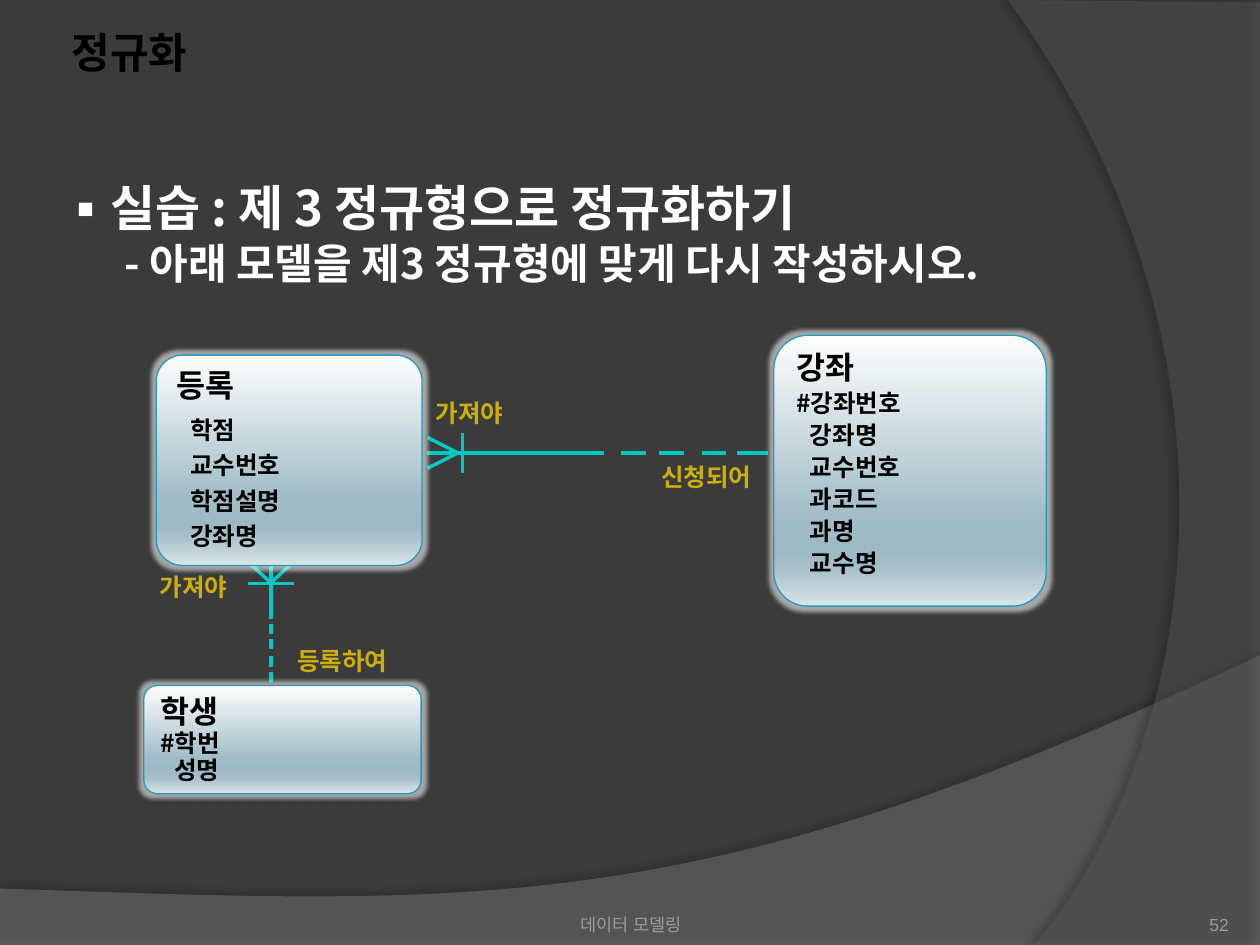
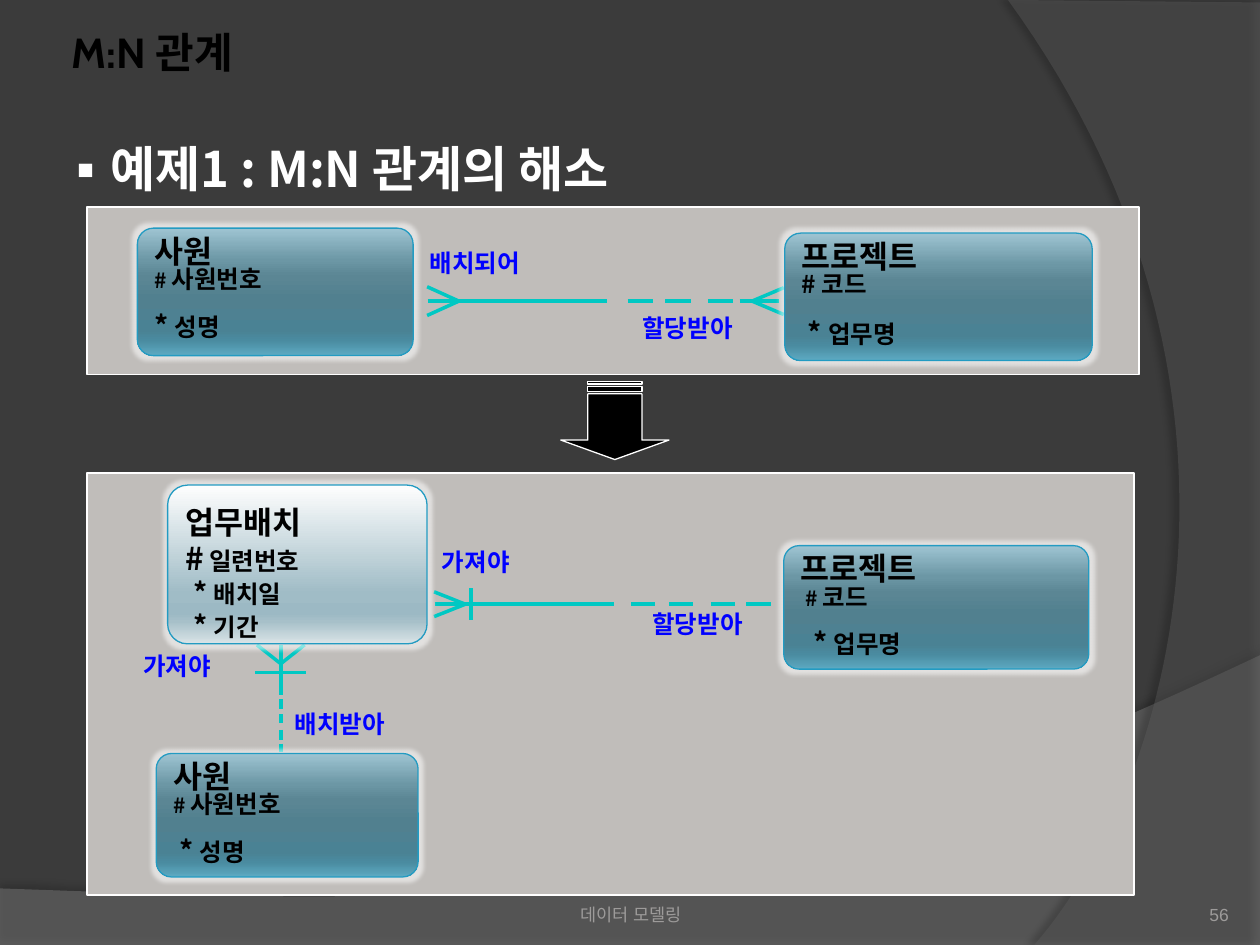
from lxml import etree
from pptx import Presentation
from pptx.dml.color import RGBColor
from pptx.enum.shapes import MSO_CONNECTOR, MSO_SHAPE
from pptx.enum.text import MSO_ANCHOR, PP_ALIGN
from pptx.oxml.ns import qn
from pptx.util import Cm, Pt

# Shared look
BODY_FONT, TITLE_FONT, FOOTER_FONT = "Noto Sans CJK KR", "Cabin", "Arial"
BACKGROUND, FOOTER_COLOR, PANEL_FILL = "3B3B3B", "9D9B9A", "C0BDBA"
RELATION_COLOR, NODE_LINE = "00C8C3", "239BC2"
BLACK, WHITE, GOLD, BLUE = "000000", "FFFFFF", "CCAF0A", "0000FF"
LINE_FACTOR = 1.22  # line height per point of text size
GRADIENTS = {
    "light": [(0, "FEFEFE"), (68, "A0BCC6"), (81, "9CB9C4"),
              (86, "A7C0C9"), (100, "DAE4E7")],
    "teal": [(0, "9EC4D2"), (25, "6C97A5"), (38, "5B8694"), (55, "51808F"),
             (80, "4A8294"), (88, "4A8BA0"), (100, "5DAAC2")],
}
# Curved bands: corner points before the curve, its three controls,
# fill, opacity, then shadow opacity, distance and direction
BANDS = [
    ([(0, 17.91), (0, 19.05), (25.4, 19.05), (25.4, 13.21)],
     [(14.2, 18.52), (9.93, 18.26), (0, 17.91)], "7F7F7F", 45, (35, 3.5, 270)),
    ([(25.4, 0.05), (25.4, 19.05), (20.85, 19.05)],
     [(23.75, 15.72), (25.86, 7.62), (20.32, 0)], "5E5E5E", 40, (45, 4, 180)),
]


# Rows of an entity: (line spacing, space before, indent, runs)
def title_row(name, spacing):
    return spacing, 0, 0, [(name, 18)]


def fields(names, spacing, before):
    return [(spacing, before, 0 if name[0] == "#" else 0.28, [(name, 14)])
            for name in names]


def keyed_entity(name, key_runs, key_indent, gap, star_indent, attribute):
    return [title_row(name, 0.8), (0.8, 0, key_indent, key_runs),
            (0.8, gap, star_indent, [("* ", 16), (attribute, 14)])]


EMPLOYEE_KEY = [("# ", 12), ("사원번호", 14)]

# Content of each slide; lengths in cm.
# A relation runs along one axis: cross position, solid part, dashes,
# feet (open end, tip, half width) and an optional bar (position, half width).
SLIDES = [
    {
        "title": "정규화", "number": "52", "footer_top": 17.83,
        "body_top": 3.38,
        "body": [("실습 : 제 3 정규형으로 정규화하기", 28, 36, True),
                 ("- 아래 모델을 제3 정규형에 맞게 다시 작성하시오.", 24, 29, False)],
        "panels": [], "arrow": None,
        "relations": [
            {"cross": 9.13, "solid": (8.6, 12.17),
             "dashes": [(12.52, 13.03), (13.28, 13.79), (14.15, 14.63), (14.86, 15.49)],
             "feet": [(8.62, 9.23, 0.31)], "bar": (9.32, 0.4)},
            {"vertical": True, "cross": 5.46, "solid": (11.36, 12.47),
             "dashes": [(12.57, 12.78), (12.88, 13.08), (13.23, 13.44), (13.54, 13.74)],
             "feet": [(11.36, 11.75, 0.42)], "bar": (11.76, 0.46)},
        ],
        "label_style": (GOLD, 0.9),
        "labels": [("신청되어", 13.08, 9.25), ("가져야", 8.53, 7.95),
                   ("등록하여", 5.74, 12.95), ("가져야", 2.97, 11.46)],
        "entities": [
            ((15.6, 6.76, 5.49, 5.46), "light", [title_row("강좌", 0.9)] + fields(
                ["#강좌번호", "강좌명", "교수번호", "과코드", "과명", "교수명"], 0.7, 6.3)),
            ((2.9, 13.82, 5.59, 2.18), "light",
             [title_row("학생", 0.9)] + fields(["#학번", "성명"], 0.9, 0)),
            ((3.15, 7.16, 5.36, 4.24), "light",
             [title_row("등록", 0.9)] + fields(["학점"], 0.6, 13)
             + fields(["교수번호", "학점설명", "강좌명"], 0.6, 10)),
        ],
    },
    {
        "title": "M:N 관계", "number": "56", "footer_top": 17.63,
        "body_top": 2.59,
        "body": [("예제1 : M:N 관계의 해소", 28, 36, True)],
        "panels": [(1.75, 9.53, 21.11, 8.51), (1.75, 4.17, 21.21, 3.38)],
        "arrow": (11.61, 7.39, 1.57, 2.18),
        "relations": [
            {"cross": 6.07, "solid": (8.62, 12.24),
             "dashes": [(12.65, 13.16), (13.41, 13.92), (14.27, 14.78), (14.91, 15.7)],
             "feet": [(8.61, 9.25, 0.29), (15.8, 15.16, 0.27)]},
            {"cross": 12.18, "solid": (8.76, 12.37),
             "dashes": [(12.73, 13.21), (13.49, 13.97), (14.33, 14.81), (15.04, 15.54)],
             "feet": [(8.75, 9.38, 0.25)], "bar": (9.5, 0.32)},
            {"vertical": True, "cross": 5.66, "solid": (13, 14.02),
             "dashes": [(14.1, 14.3), (14.4, 14.58), (14.71, 14.91), (14.99, 15.16)],
             "feet": [(13, 13.38, 0.48)], "bar": (13.56, 0.51)},
        ],
        "label_style": (BLUE, 0.8),
        "labels": [("배치되어", 8.41, 4.98), ("할당받아", 12.7, 6.3),
                   ("가져야", 8.66, 11.02), ("할당받아", 12.9, 12.27),
                   ("가져야", 2.64, 13.11), ("배치받아", 5.69, 14.27)],
        "entities": [
            ((2.77, 4.6, 5.56, 2.57), "teal",
             keyed_entity("사원", EMPLOYEE_KEY, 0, 12, 0, "성명")),
            ((15.82, 4.7, 6.2, 2.57), "teal",
             keyed_entity("프로젝트", [("# 코드", 14)], 0, 13, 0.12, "업무명")),
            ((15.8, 11, 6.15, 2.49), "teal",
             keyed_entity("프로젝트", [("# ", 12), ("코드", 14)], 0.1, 12, 0.25, "업무명")),
            ((3.15, 15.19, 5.28, 2.49), "teal",
             keyed_entity("사원", EMPLOYEE_KEY, 0, 12, 0.12, "성명")),
            ((3.38, 9.78, 5.23, 3.2), "light", [
                title_row("업무배치", 1.4),
                (0.7, 5.4, 0, [("#", 18), (" ", 12), ("일련번호", 14)]),
                (0.7, 4.8, 0.15, [("* ", 16), ("배치일", 14)]),
                (0.7, 4.8, 0.15, [("* ", 16), ("기간", 14)])]),
        ],
    },
]


# Helpers
def color(hex_value):
    return RGBColor.from_string(hex_value)


def add_xml_color(parent, hex_value, opacity=100):
    node = etree.SubElement(parent, qn("a:srgbClr"), val=hex_value)
    if opacity < 100:
        etree.SubElement(node, qn("a:alpha"), val=str(opacity * 1000))


def add_run(paragraph, text, size, hex_value, font=BODY_FONT, bold=True):
    run = paragraph.add_run()
    run.text = text
    run.font.size, run.font.bold = Pt(size), bold
    run.font.color.rgb = color(hex_value)
    run.font.name = font
    etree.SubElement(run.font._element, qn("a:ea"), typeface=font)


def paragraphs(frame, count):
    return [frame.paragraphs[0]] + [frame.add_paragraph() for _ in range(count - 1)]


def indent(paragraph, left, first=0):
    props = paragraph._p.get_or_add_pPr()
    props.set("marL", str(Cm(left)))
    props.set("indent", str(Cm(first)))
    return props


def add_text_frame(slide, box):
    frame = slide.shapes.add_textbox(*map(Cm, box)).text_frame
    frame.word_wrap = True
    return frame


def add_block(slide, kind, box, fill, line, width):
    block = slide.shapes.add_shape(kind, *map(Cm, box))
    block.shadow.inherit = False
    if fill:
        block.fill.solid()
        block.fill.fore_color.rgb = color(fill)
    block.line.color.rgb, block.line.width = color(line), Pt(width)
    return block


def add_effect(shape, kind, hex_value, opacity, **attributes):
    shape.shadow.inherit = False
    effects = shape.element.spPr.find(qn("a:effectLst"))
    effect = etree.SubElement(effects, qn(kind), **attributes)
    add_xml_color(effect, hex_value, opacity)


def curve(start, first, second, end, steps=60):
    for step in range(1, steps + 1):
        t = step / steps
        weights = ((1 - t) ** 3, 3 * t * (1 - t) ** 2, 3 * t * t * (1 - t), t ** 3)
        yield tuple(sum(w * p[axis] for w, p in zip(weights, (start, first, second, end)))
                    for axis in (0, 1))


def add_bands(slide, layout):
    """Build the curved bands and place them once, on the shared layout."""
    for position, (corners, controls, fill, opacity, shade) in enumerate(BANDS, 2):
        points = [(Cm(x), Cm(y)) for x, y in corners + list(curve(corners[-1], *controls))]
        builder = slide.shapes.build_freeform(*points[0])
        builder.add_line_segments(points[1:])
        band = builder.convert_to_shape()
        band.fill.solid()
        band.fill.fore_color.rgb = color(fill)
        fill_color = band.element.spPr.find(qn("a:solidFill"))[0]
        etree.SubElement(fill_color, qn("a:alpha"), val=str(opacity * 1000))
        band.line.fill.background()
        shade_opacity, distance, direction = shade
        add_effect(band, "a:outerShdw", BLACK, shade_opacity, blurRad=str(Pt(4)),
                   dist=str(Pt(distance)), dir=str(direction * 60000))
        layout.shapes.element.insert(position, band.element)


def add_title(slide, text):
    title = slide.shapes.title
    title.left, title.top, title.width, title.height = map(Cm, (1.19, 0.41, 22.71, 1.27))
    title.text_frame.vertical_anchor = MSO_ANCHOR.TOP
    paragraph = title.text_frame.paragraphs[0]
    paragraph.alignment = PP_ALIGN.LEFT
    add_run(paragraph, text, 24, BLACK, TITLE_FONT)


def add_footer(slide, text, left, top, width, align, inset):
    frame = add_text_frame(slide, (left, top, width, 1.02))
    frame.vertical_anchor = MSO_ANCHOR.BOTTOM
    frame.margin_left = frame.margin_right = frame.margin_bottom = 0
    frame.margin_top = Cm(inset)
    frame.paragraphs[0].alignment = align
    add_run(frame.paragraphs[0], text, 10, FOOTER_COLOR, FOOTER_FONT, False)


def add_body(slide, top, lines):
    frame = add_text_frame(slide, (0.99, top, 23.62, 3))
    for paragraph, (text, size, height, bulleted) in zip(paragraphs(frame, len(lines)), lines):
        paragraph.line_spacing = Pt(height)
        if bulleted:
            props = indent(paragraph, 0.6, -0.6)
            etree.SubElement(props, qn("a:buFont"), typeface=BODY_FONT)
            etree.SubElement(props, qn("a:buChar"), char="▪")
        else:
            indent(paragraph, 1.27)
        add_run(paragraph, text, size, WHITE)


def add_line(slide, start, end):
    line = slide.shapes.add_connector(MSO_CONNECTOR.STRAIGHT, *map(Cm, start + end))
    line.line.color.rgb, line.line.width = color(RELATION_COLOR), Pt(2)
    etree.SubElement(line.element.spPr, qn("a:effectLst"))


def add_relation(slide, relation):
    cross = relation["cross"]
    strokes = [((a, cross), (b, cross)) for a, b in [relation["solid"]] + relation["dashes"]]
    for opening, tip, half in relation["feet"]:
        strokes += [((opening, cross + side), (tip, cross)) for side in (-half, half)]
    if "bar" in relation:
        place, half = relation["bar"]
        strokes.append(((place, cross - half), (place, cross + half)))
    for start, end in strokes:
        if relation.get("vertical"):
            start, end = start[::-1], end[::-1]
        add_line(slide, start, end)


def add_label(slide, text, left, top, hex_value, spacing):
    paragraph = add_text_frame(slide, (left, top, 3.9, 0.79)).paragraphs[0]
    paragraph.line_spacing = Pt(spacing * LINE_FACTOR * 14)
    add_run(paragraph, text, 14, hex_value)


def add_entity(slide, box, style, rows):
    entity = add_block(slide, MSO_SHAPE.ROUNDED_RECTANGLE, box, None, NODE_LINE, 0.75)
    entity.adjustments[0] = 0.125
    entity.fill.gradient()
    entity.fill.gradient_angle = 270
    stops = entity.element.spPr.find(".//" + qn("a:gsLst"))
    for stop in list(stops):
        stops.remove(stop)
    for place, hex_value in GRADIENTS[style]:
        add_xml_color(etree.SubElement(stops, qn("a:gs"), pos=str(place * 1000)), hex_value)
    add_effect(entity, "a:glow", WHITE, 55, rad=str(Pt(5)))
    frame = entity.text_frame
    frame.word_wrap = True
    tall_title = rows[0][0] > 1
    frame.vertical_anchor = MSO_ANCHOR.MIDDLE if tall_title else MSO_ANCHOR.TOP
    for paragraph, (spacing, before, left, runs) in zip(paragraphs(frame, len(rows)), rows):
        paragraph.alignment = PP_ALIGN.LEFT
        paragraph.line_spacing = Pt(spacing * LINE_FACTOR * max(size for _, size in runs))
        if before:
            paragraph.space_before = Pt(before)
        indent(paragraph, left)
        for text, size in runs:
            add_run(paragraph, text, size, BLACK)


def main():
    prs = Presentation()
    prs.slide_width, prs.slide_height = Cm(25.4), Cm(19.05)
    background = prs.slide_master.background.fill
    background.solid()
    background.fore_color.rgb = color(BACKGROUND)
    layout = prs.slide_layouts[5]
    for index, content in enumerate(SLIDES):
        slide = prs.slides.add_slide(layout)
        if index == 0:
            add_bands(slide, layout)
        # Title, heading and footer
        add_title(slide, content["title"])
        add_body(slide, content["body_top"], content["body"])
        top = content["footer_top"]
        add_footer(slide, "데이터 모델링", 8.69, top, 8.05, PP_ALIGN.CENTER, 0.13)
        add_footer(slide, content["number"], 22.66, top, 2.11, PP_ALIGN.RIGHT, 0)
        # Entity diagram
        for box in content["panels"]:
            add_block(slide, MSO_SHAPE.RECTANGLE, box, PANEL_FILL, WHITE, 1)
        if content["arrow"]:
            arrow = add_block(slide, MSO_SHAPE.STRIPED_RIGHT_ARROW, content["arrow"],
                              BLACK, WHITE, 0.75)
            arrow.rotation = 90
            arrow.adjustments[0], arrow.adjustments[1] = 0.5, 0.25
        for relation in content["relations"]:
            add_relation(slide, relation)
        for label in content["labels"]:
            add_label(slide, *label, *content["label_style"])
        for entity in content["entities"]:
            add_entity(slide, *entity)
    prs.save("out.pptx")


if __name__ == "__main__":
    main()
